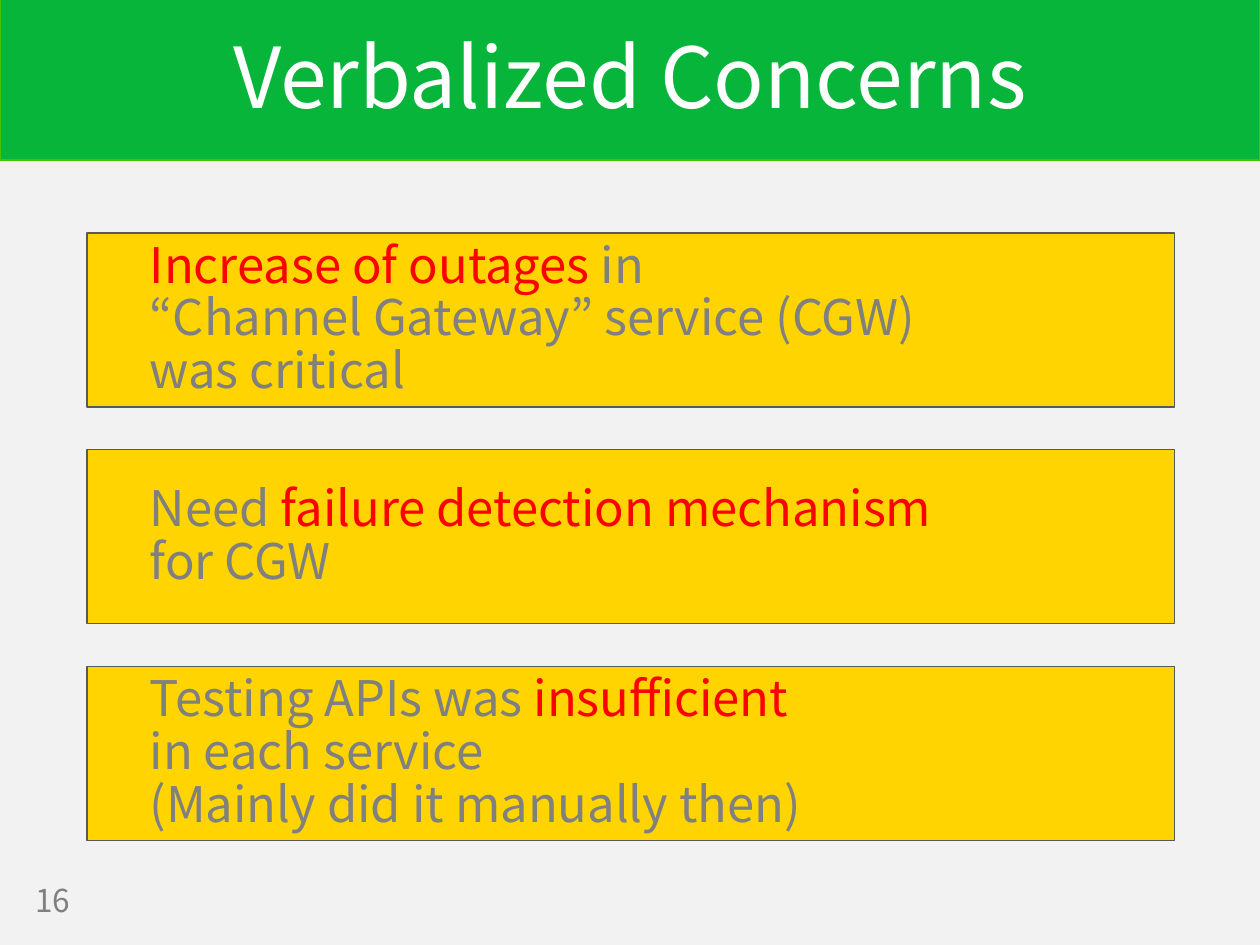
"""Build the "Verbalized Concerns" slide: a title band above three concern boxes."""
from pptx import Presentation
from pptx.dml.color import RGBColor
from pptx.enum.shapes import MSO_SHAPE
from pptx.enum.text import MSO_ANCHOR, PP_ALIGN
from pptx.util import Inches, Pt

FONT = "Noto Sans CJK JP"
GREY, RED, WHITE = "808080", "FF0000", "FFFFFF"
LEFT, TOP, WIDTH, HEIGHT, PITCH = 0.69, 1.85, 8.63, 1.38, 1.72
CONCERNS = [
    [[("Increase of outages", RED), (" in", GREY)],
     [("“Channel Gateway” service (CGW)", GREY)],
     [("was critical", GREY)]],
    [[("Need ", GREY), ("failure detection mechanism", RED)],
     [("for CGW", GREY)]],
    [[("Testing APIs was ", GREY), ("insufficient", RED)],
     [("in each service", GREY)],
     [("(Mainly did it manually then)", GREY)]],
]


def style_run(run, size, color):
    run.font.name = FONT
    run.font.size = Pt(size)
    run.font.color.rgb = RGBColor.from_string(color)


def add_box(left, top, width, height, fill, line, line_width):
    box = slide.shapes.add_shape(MSO_SHAPE.RECTANGLE, Inches(left), Inches(top),
                                 Inches(width), Inches(height))
    box.shadow.inherit = False
    box.fill.solid()
    box.fill.fore_color.rgb = RGBColor.from_string(fill)
    box.line.color.rgb = RGBColor.from_string(line)
    box.line.width = Pt(line_width)
    return box


presentation = Presentation()
presentation.slide_width, presentation.slide_height = Inches(10), Inches(7.5)
slide = presentation.slides.add_slide(presentation.slide_layouts[5])
slide.background.fill.solid()
slide.background.fill.fore_color.rgb = RGBColor.from_string("F2F2F2")

title = slide.shapes.title
title.left, title.top = Inches(0), Inches(0.36)
title.width, title.height = presentation.slide_width, Inches(0.57)
title.text_frame.text = "Verbalized Concerns"
title.text_frame.vertical_anchor = MSO_ANCHOR.MIDDLE
heading = title.text_frame.paragraphs[0]
heading.alignment = PP_ALIGN.CENTER
heading.line_spacing = 0.9
style_run(heading.runs[0], 48, WHITE)

band = add_box(0, -0.01, 10, 1.28, "07B53B", "44C404", 1)
title.element.addprevious(band.element)

number = slide.shapes.add_textbox(Inches(0.18), Inches(6.95), Inches(0.79), Inches(0.39))
number.text_frame.word_wrap = True
number.text_frame.vertical_anchor = MSO_ANCHOR.MIDDLE
number.text_frame.text = "16"
style_run(number.text_frame.paragraphs[0].runs[0], 18, GREY)

for row, lines in enumerate(CONCERNS):
    box = add_box(LEFT, TOP + row * PITCH, WIDTH, HEIGHT, "FFD400", "595959", 0.75)
    box.text_frame.word_wrap = True
    box.text_frame.vertical_anchor = MSO_ANCHOR.MIDDLE
    paragraph = box.text_frame.paragraphs[0]
    paragraph.alignment = PP_ALIGN.LEFT
    paragraph.line_spacing = 0.9
    paragraph._p.get_or_add_pPr().set("marL", str(Inches(0.4)))
    for index, pieces in enumerate(lines):
        if index:
            paragraph.add_line_break()
        for text, color in pieces:
            run = paragraph.add_run()
            run.text = text
            style_run(run, 28, color)

presentation.save("out.pptx")
